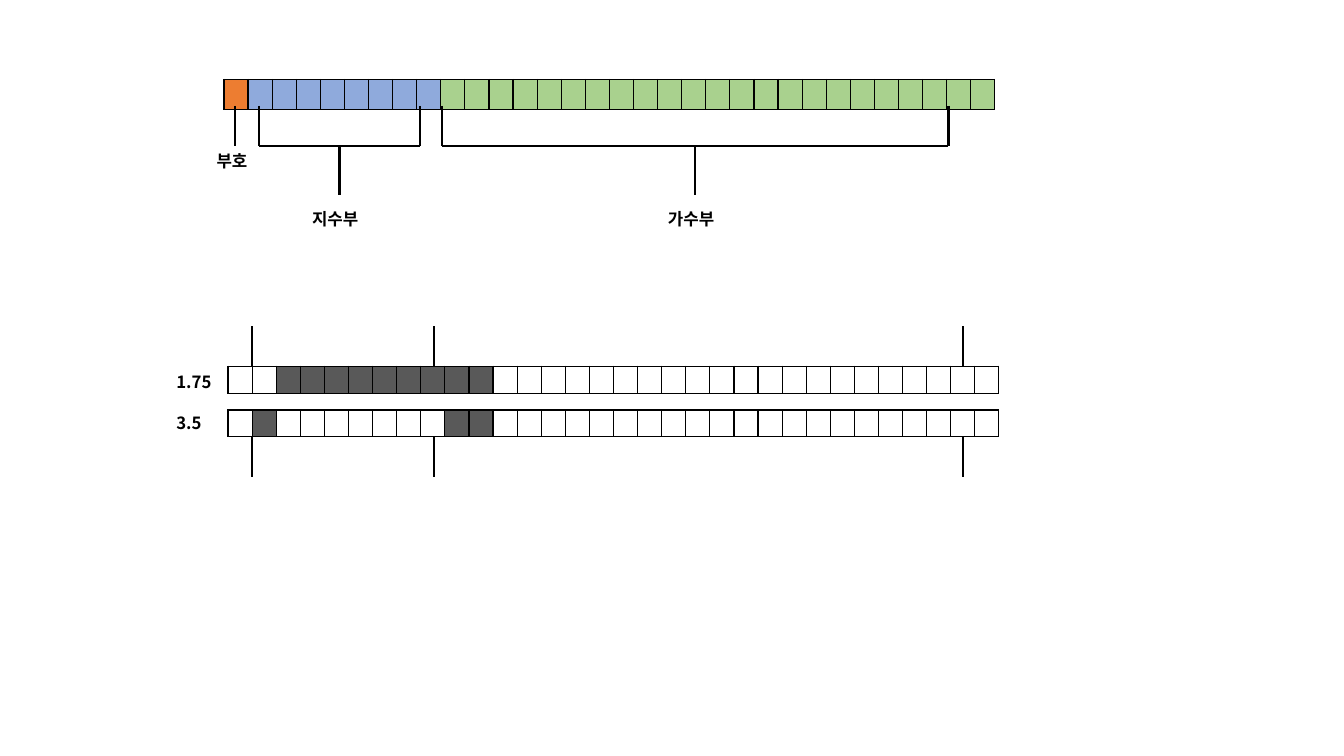
from lxml import etree
from pptx import Presentation
from pptx.dml.color import RGBColor
from pptx.enum.shapes import MSO_CONNECTOR
from pptx.oxml.ns import qn
from pptx.util import Pt

STRAIGHT = MSO_CONNECTOR.STRAIGHT
FONT = "Noto Sans CJK KR"
BLACK, WHITE, GRAY = "000000", "FFFFFF", "595959"
ORANGE, BLUE, GREEN = "ED7D31", "8FAADC", "A9D18E"
BITS = 32
BIT_WIDTH = 17.23
BRACKET_DROP, STEM_DROP = 28.6, 35.2
LABEL_FORMAT = {"size": Pt(12), "bold": True, "name": FONT}
CELL_MARGINS = dict.fromkeys(
    ("margin_left", "margin_right", "margin_top", "margin_bottom"), 0)


def color(hex_string):
    """Turn a hex string into a colour."""
    return RGBColor.from_string(hex_string)


def apply_format(target, values):
    """Set each attribute in values on target."""
    for attribute, value in values.items():
        setattr(target, attribute, value)


def add_line(slide, x1, y1, x2, y2):
    """Draw a plain black line without shadow."""
    line = slide.shapes.add_connector(STRAIGHT, Pt(x1), Pt(y1), Pt(x2), Pt(y2))
    line.line.color.rgb = color(BLACK)
    line.line.width = Pt(1.5)
    etree.SubElement(line._element.spPr, qn("a:effectLst"))


def add_label(slide, text, left, top, width):
    """Write a bold label."""
    box = slide.shapes.add_textbox(Pt(left), Pt(top), Pt(width), Pt(21.8))
    box.text_frame.word_wrap = True
    box.text_frame.margin_right = 0
    run = box.text_frame.paragraphs[0].add_run()
    run.text = text
    apply_format(run.font, LABEL_FORMAT)
    run.font.color.rgb = color(BLACK)
    east_asian = etree.SubElement(run.font._element, qn("a:ea"))
    east_asian.set("typeface", FONT)


def style_bit(cell, fill):
    """Fill one bit cell, border it and keep its empty line small."""
    apply_format(cell, CELL_MARGINS)
    cell.fill.solid()
    cell.fill.fore_color.rgb = color(fill)
    properties = cell._tc.get_or_add_tcPr()
    for position, side in enumerate(("lnL", "lnR", "lnT", "lnB")):
        border = etree.Element(qn(f"a:{side}"), w=str(Pt(1)))
        solid = etree.SubElement(border, qn("a:solidFill"))
        etree.SubElement(solid, qn("a:srgbClr"), val=BLACK)
        properties.insert(position, border)
    paragraph = cell.text_frame.paragraphs[0]._p
    etree.SubElement(paragraph, qn("a:endParaRPr"), sz="800")


def add_bits(slide, left, top, height, fills):
    """Draw a row of bits as a one-row table."""
    frame = slide.shapes.add_table(
        1, BITS, Pt(left), Pt(top), Pt(BITS * BIT_WIDTH), Pt(height))
    table = frame.table
    apply_format(table, {"first_row": False, "horz_banding": False})
    for column, fill in enumerate(fills):
        table.columns[column].width = Pt(BIT_WIDTH)
        style_bit(table.cell(0, column), fill)


def add_bracket(slide, left, right, top, text):
    """Join two bits under the row and label the stem between them."""
    bar = top + BRACKET_DROP
    middle = (left + right) / 2
    for x in (left, right):
        add_line(slide, x, top, x, bar)
    add_line(slide, left, bar, right, bar)
    add_line(slide, middle, bar, middle, bar + STEM_DROP)
    add_label(slide, text, middle - 26.7, bar + 41, 54.7)


def add_float_layout(slide, left, top):
    """Draw the sign, exponent and mantissa fields with their labels."""
    add_bits(slide, left, top, 21.4, [ORANGE] + [BLUE] * 8 + [GREEN] * 23)
    under = top + 18.8
    sign = left + 7.8
    add_line(slide, sign, under, sign, under + BRACKET_DROP)
    add_label(slide, "부호", left - 12.4, under + BRACKET_DROP, 44)
    add_bracket(slide, left + 25, left + 140, under, "지수부")
    add_bracket(slide, left + 156, left + 517.5, under, "가수부")


def add_examples(slide, left, top):
    """Draw the bits of two numbers with ticks at the field limits."""
    height, pitch = 19.2, 31.2
    examples = (("1.75", range(2, 11), 0), ("3.5", (1, 9, 10), -1.6))
    for row, (number, ones, shift) in enumerate(examples):
        y = top + row * pitch
        fills = [GRAY if bit in ones else WHITE for bit in range(BITS)]
        add_bits(slide, left, y, height, fills)
        add_label(slide, number, left - 44, y + shift, 44)
    bottom = top + pitch + height
    for offset in (17, 147.3, 524.7):
        x = left + offset
        for y in (top - BRACKET_DROP, bottom):
            add_line(slide, x, y, x, y + BRACKET_DROP)


def main():
    """Build the slide and save it."""
    presentation = Presentation()
    presentation.slide_width = Pt(960)
    presentation.slide_height = Pt(540)
    slide = presentation.slides.add_slide(presentation.slide_layouts[6])
    add_float_layout(slide, 160, 56.8)
    add_examples(slide, 162.9, 261.6)
    presentation.save("out.pptx")


main()
